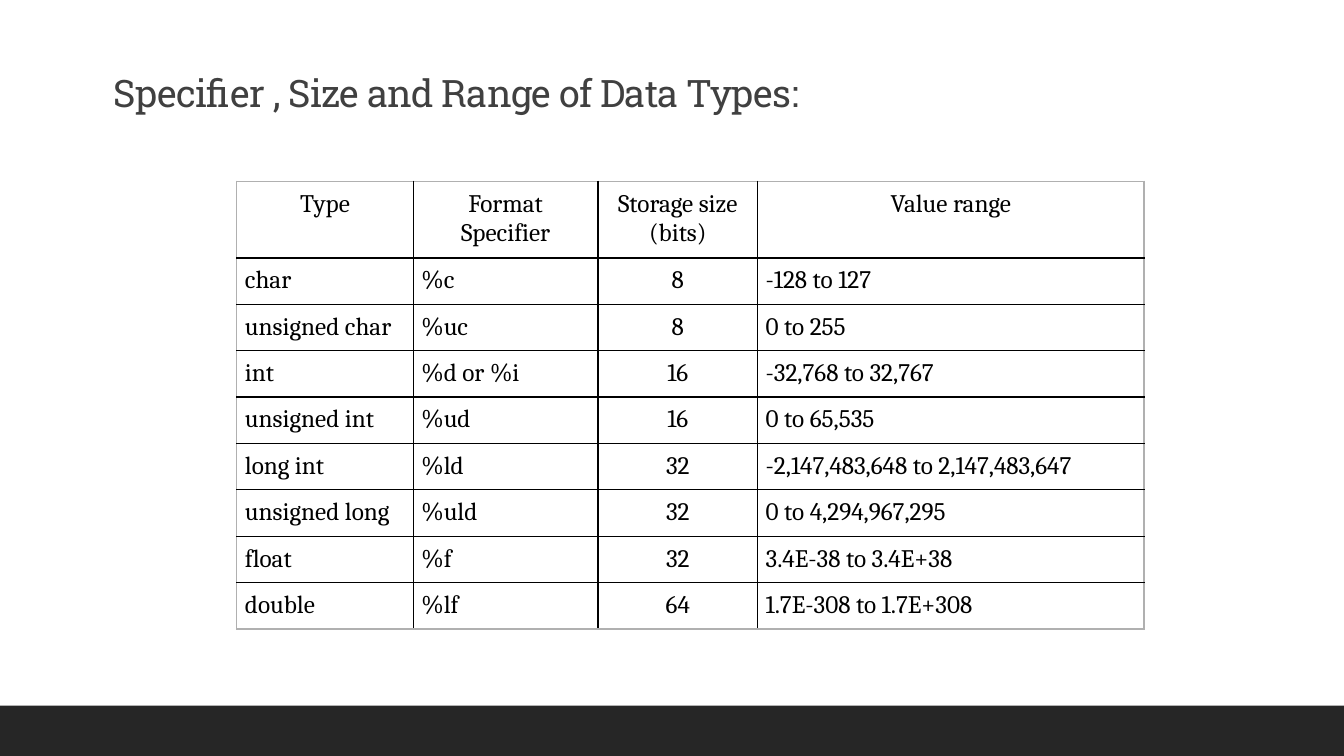
from dataclasses import dataclass

from lxml import etree
from pptx import Presentation
from pptx import util as u
from pptx.dml.color import RGBColor
from pptx.enum import shapes, text
from pptx.oxml import ns

Pt = u.Pt


@dataclass(frozen=True)
class Theme:
    bar: str = "262626"
    title: str = "404040"
    ink: str = "000000"
    edge: str = "B0B0B0"
    head_font: str = "Roboto Slab"
    body_font: str = "Cambria"
    head_size: float = 27
    body_size: float = 18
    rule: float = 1


THEME = Theme()
WIDE, HIGH = 960, 540
PAD = 5.76
ROW = 29.52
COLS = (126, 132, 114, 276)
HEAD = ("Type", "Format Specifier", "Storage size (bits)", "Value range")
TYPES = (
    ("char", "%c", "8", "-128 to 127"),
    ("unsigned char", "%uc", "8", "0 to 255"),
    ("int", "%d or %i", "16", "-32,768 to 32,767"),
    ("unsigned int", "%ud", "16", "0 to 65,535"),
    ("long int", "%ld", "32", "-2,147,483,648 to 2,147,483,647"),
    ("unsigned long", "%uld", "32", "0 to 4,294,967,295"),
    ("float", "%f", "32", "3.4E-38 to 3.4E+38"),
    ("double", "%lf", "64", "1.7E-308 to 1.7E+308"),
)


def apply(item, form):
    """Set each attribute named in form."""
    for key, value in form.items():
        setattr(item, key, value)


def write(para, words, font, size, color, **form):
    apply(para, form)
    run = para.add_run()
    run.text = words
    apply(run.font, {"name": font, "size": Pt(size)})
    run.font.color.rgb = RGBColor.from_string(color)
    return run


def border(cell, side, color):
    """Rule one side (L, R, T or B) of a cell."""
    props = cell._tc.get_or_add_tcPr()
    line = etree.SubElement(props, ns.qn(f"a:ln{side}"), w=str(Pt(THEME.rule)))
    fill = etree.SubElement(line, ns.qn("a:solidFill"))
    etree.SubElement(fill, ns.qn("a:srgbClr"), val=color)


def add_bar(slide, box):
    bar = slide.shapes.add_shape(shapes.MSO_SHAPE.RECTANGLE, *map(Pt, box))
    bar.shadow.inherit = False
    bar.fill.solid()
    bar.fill.fore_color.rgb = RGBColor.from_string(THEME.bar)
    bar.line.fill.background()


def add_title(slide, box, words):
    frame = slide.shapes.add_textbox(*map(Pt, box)).text_frame
    apply(frame, {"word_wrap": True, "vertical_anchor": text.MSO_ANCHOR.BOTTOM})
    run = write(frame.paragraphs[0], words, THEME.head_font, THEME.head_size,
                THEME.title, line_spacing=0.9)
    run.font._element.set("spc", "-50")


def add_grid(slide, box, rows):
    last, end = len(rows) - 1, len(COLS) - 1
    frame = slide.shapes.add_table(len(rows), len(COLS), *map(Pt, box))
    table = frame.table
    apply(table, {"first_row": False, "horz_banding": False})
    for col, width in zip(table.columns, COLS):
        col.width = Pt(width)
    for r, row in enumerate(rows):
        table.rows[r].height = Pt(ROW)
        for c, words in enumerate(row):
            cell = table.cell(r, c)
            apply(cell, {f"margin_{side}": Pt(PAD)
                         for side in ("left", "right", "top", "bottom")})
            outer = {"L": c == 0, "R": c == end, "T": r == 0, "B": r == last}
            for side, edge in outer.items():
                border(cell, side, THEME.edge if edge else THEME.ink)
            cell.fill.background()
            mid = r == 0 or c == 2
            align = text.PP_ALIGN.CENTER if mid else text.PP_ALIGN.LEFT
            write(cell.text_frame.paragraphs[0], words, THEME.body_font,
                  THEME.body_size, THEME.ink, alignment=align)
    frame.height = Pt(box[3])


def main():
    deck = Presentation()
    apply(deck, {"slide_width": Pt(WIDE), "slide_height": Pt(HIGH)})
    slide = deck.slides.add_slide(deck.slide_layouts[6])
    add_bar(slide, (0, HIGH - 36, WIDE, 36))
    add_title(slide, (74, 33, 792, 53.5), "Specifier , Size and Range of Data Types:")
    add_grid(slide, (169.2, 129.5, sum(COLS), 324), (HEAD, *TYPES))
    deck.save("out.pptx")


if __name__ == "__main__":
    main()
